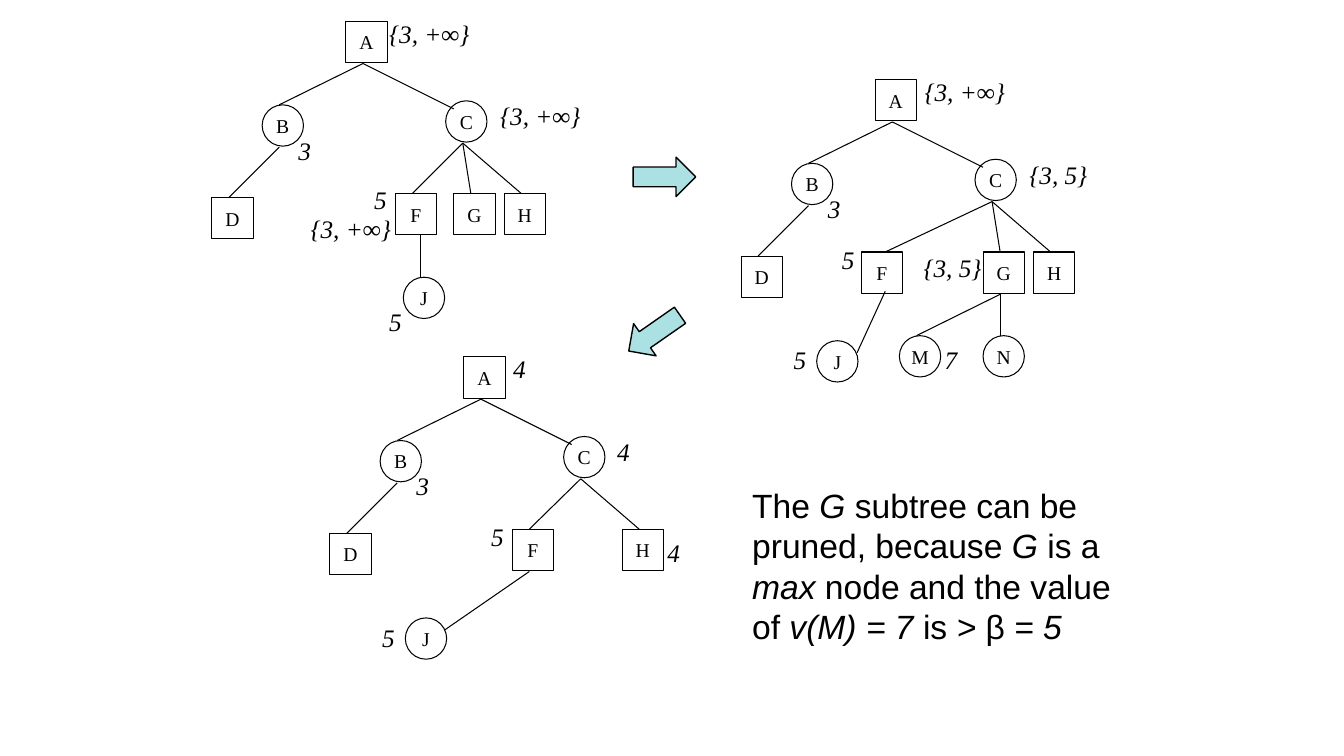
from dataclasses import dataclass

from lxml import etree
from pptx import Presentation
from pptx.dml.color import RGBColor
from pptx.enum.shapes import MSO_CONNECTOR, MSO_SHAPE
from pptx.enum.text import MSO_ANCHOR, PP_ALIGN
from pptx.oxml.ns import qn
from pptx.util import Inches, Pt

STRAIGHT = MSO_CONNECTOR.STRAIGHT
SQUARE = MSO_SHAPE.ROUNDED_RECTANGLE
CIRCLE = MSO_SHAPE.OVAL
RIGHT_ARROW = MSO_SHAPE.RIGHT_ARROW
MIDDLE, TOP = MSO_ANCHOR.MIDDLE, MSO_ANCHOR.TOP
CENTER, LEFT = PP_ALIGN.CENTER, PP_ALIGN.LEFT

COLORS = {"ink": "000000", "arrow": "ACE1E3"}
SERIF, SANS = "Times New Roman", "Arial"
NODE_SIZE = 0.41
LABEL_WIDTHS = {"{3, +∞}": 0.89, "{3, 5}": 0.67}
CIRCLE_NAMES = "BCJMN"


@dataclass
class Node:
    name: str
    x: float
    y: float
    parent: str = ""
    leave: tuple[float, float] = (0.17, 0.42)
    enter: tuple[float, float] = (0.17, 0)


@dataclass
class Label:
    text: str
    x: float
    y: float


@dataclass
class Tree:
    x: float
    y: float
    nodes: list[Node]
    labels: list[Label]


@dataclass
class Arrow:
    x: float
    y: float
    rotation: float


COMMON_NODES = [
    Node("A", 0, 0),
    Node("B", -0.83, 0.83, "A"),
    Node("C", 0.99, 0.79, "A", enter=(0.08, 0.08)),
    Node("D", -1.33, 1.75, "B"),
]
COMMON_LABELS = [Label("3", -0.51, 1.13)]

TREES = [
    Tree(3.43, 0.21, [
        Node("F", 0.49, 1.71, "C"),
        Node("G", 1.07, 1.71, "C"),
        Node("H", 1.57, 1.71, "C"),
        Node("J", 0.57, 2.54, "F", leave=(0.25, 0.41)),
    ], [
        Label("{3, +∞}", 0.39, -0.03),
        Label("{3, +∞}", 1.49, 0.79),
        Label("{3, +∞}", -0.39, 1.91),
        Label("5", 0.39, 2.83),
        Label("5", 0.24, 1.62),
    ]),
    Tree(8.68, 0.79, [
        Node("F", -0.14, 1.71, "C", enter=(0.24, 0)),
        Node("G", 1.07, 1.71, "C"),
        Node("H", 1.57, 1.71, "C"),
        Node("J", -0.58, 2.59, "F", leave=(0.24, 0.39), enter=(0.4, 0.12)),
        Node("M", 0.24, 2.54, "G"),
        Node("N", 1.07, 2.54, "G"),
    ], [
        Label("{3, +∞}", 0.45, -0.03),
        Label("{3, 5}", 1.49, 0.79),
        Label("{3, 5}", 0.44, 1.71),
        Label("5", -0.85, 2.63),
        Label("5", -0.37, 1.63),
        Label("7", 0.65, 2.63),
    ]),
    Tree(4.6, 3.54, [
        Node("F", 0.48, 1.71, "C"),
        Node("H", 1.57, 1.71, "C"),
        Node("J", -0.58, 2.59, "F", enter=(0.39, 0.12)),
    ], [
        Label("4", 0.45, -0.03),
        Label("4", 1.48, 0.79),
        Label("4", 1.98, 1.79),
        Label("5", -0.85, 2.63),
        Label("5", 0.23, 1.63),
    ]),
]

ARROWS = [Arrow(6.28, 1.56, 0), Arrow(6.18, 3.11, 145.1)]

CAPTION = [
    ("The", False), (" G ", True), ("subtree can be pruned, because ", False),
    ("G", True), (" is a ", False), ("max ", True),
    ("node and the value of", False), (" v(M) = 7 ", True), ("is", False),
    (" >", True), (" β", False), (" = 5", True),
]


def rgb(name: str) -> RGBColor:
    return RGBColor.from_string(COLORS[name])


def format_text(sp, font: str, size: float, wrap: bool = False,
                anchor=TOP, align=LEFT) -> None:
    tf = sp.text_frame
    tf.word_wrap = wrap
    tf.vertical_anchor = anchor
    tf.margin_left = tf.margin_top = tf.margin_bottom = 0
    tf.margin_right = Inches(0.04)
    p = tf.paragraphs[0]
    p.alignment = align
    p._p.get_or_add_pPr().set("marL", str(Inches(0.04)))
    for r in p.runs:
        r.font.name = font
        r.font.size = Pt(size)
        r.font.color.rgb = rgb("ink")


def add_outlined(slide, kind, x: float, y: float, w: float, h: float,
                 width: float):
    sp = slide.shapes.add_shape(kind, Inches(x), Inches(y), Inches(w), Inches(h))
    sp.shadow.inherit = False
    sp.line.color.rgb = rgb("ink")
    sp.line.width = Pt(width)
    return sp


def draw_edge(slide, tree: Tree, parent: Node, child: Node) -> None:
    line = slide.shapes.add_connector(
        STRAIGHT,
        Inches(tree.x + parent.x + child.leave[0]),
        Inches(tree.y + parent.y + child.leave[1]),
        Inches(tree.x + child.x + child.enter[0]),
        Inches(tree.y + child.y + child.enter[1]))
    line.line.color.rgb = rgb("ink")
    line.line.width = Pt(0.75)
    etree.SubElement(line._element.spPr, qn("a:effectLst"))


def draw_node(slide, tree: Tree, node: Node) -> None:
    kind = CIRCLE if node.name in CIRCLE_NAMES else SQUARE
    sp = add_outlined(slide, kind, tree.x + node.x, tree.y + node.y,
                      NODE_SIZE, NODE_SIZE, 0.75)
    if kind == SQUARE:
        sp.adjustments[0] = 0
    sp.fill.background()
    sp.text_frame.text = node.name
    format_text(sp, SERIF, 14, anchor=MIDDLE, align=CENTER)


def draw_label(slide, tree: Tree, label: Label) -> None:
    sp = slide.shapes.add_textbox(
        Inches(tree.x + label.x), Inches(tree.y + label.y),
        Inches(LABEL_WIDTHS.get(label.text, 0.21)), Inches(0.3))
    sp.text_frame.text = label.text
    format_text(sp, SERIF, 18)
    sp.text_frame.paragraphs[0].runs[0].font.italic = True


def draw_tree(slide, tree: Tree) -> None:
    nodes = {node.name: node for node in COMMON_NODES + tree.nodes}
    for node in nodes.values():
        if node.parent:
            draw_edge(slide, tree, nodes[node.parent], node)
        draw_node(slide, tree, node)
    for label in COMMON_LABELS + tree.labels:
        draw_label(slide, tree, label)


def draw_arrow(slide, arrow: Arrow) -> None:
    sp = add_outlined(slide, RIGHT_ARROW, arrow.x, arrow.y, 0.62, 0.39, 1)
    sp.fill.solid()
    sp.fill.fore_color.rgb = rgb("arrow")
    sp.rotation = arrow.rotation


def draw_caption(slide) -> None:
    sp = slide.shapes.add_textbox(Inches(7.42), Inches(4.81),
                                  Inches(3.76), Inches(1.03))
    p = sp.text_frame.paragraphs[0]
    for text, italic in CAPTION:
        r = p.add_run()
        r.text = text
        r.font.italic = italic
    format_text(sp, SANS, 24, wrap=True)


def main() -> None:
    prs = Presentation()
    prs.slide_width, prs.slide_height = Inches(13.33), Inches(7.5)
    slide = prs.slides.add_slide(prs.slide_layouts[6])
    draw_caption(slide)
    for tree in TREES:
        draw_tree(slide, tree)
    for arrow in ARROWS:
        draw_arrow(slide, arrow)
    prs.save("out.pptx")


if __name__ == "__main__":
    main()
